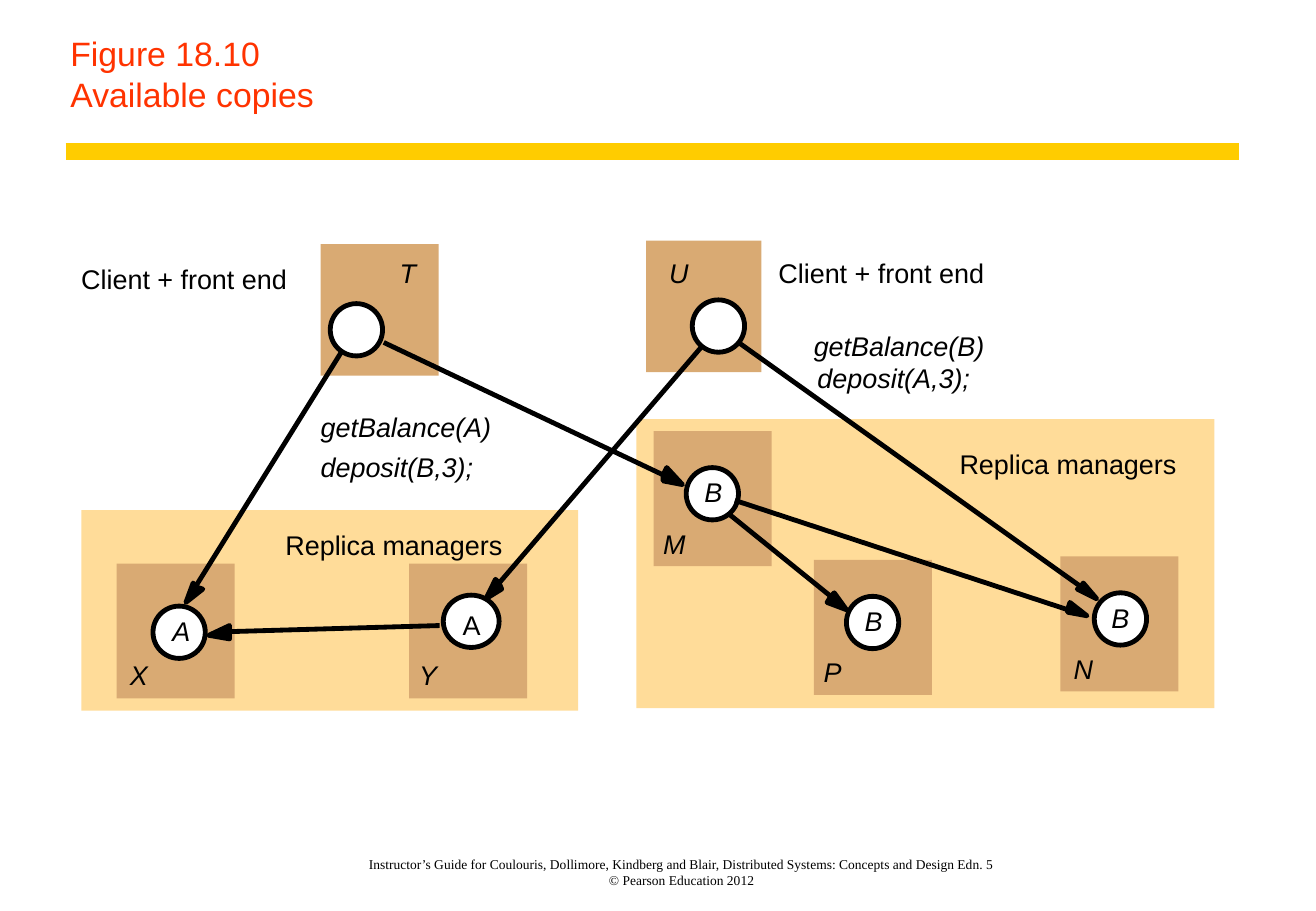
from lxml import etree
from pptx import Presentation
from pptx.dml.color import RGBColor
from pptx.enum import shapes, text
from pptx.oxml import ns
from pptx.util import Pt

COLORS = {
    "title": "FF3300",
    "rule": "FFCC00",
    "panel": "FFDC99",
    "site": "D9AA73",
    "object": "FFFFFF",
    "ink": "000000",
}
STROKE = 2.86
LABEL_HEIGHT = 19.4
SITE_WIDTH = 70
OBJECT_SIZE = 31

PANELS = [(377.3, 248.4, 342.7, 171.4), (48.2, 302.4, 294.5, 118.8)]

SITES = [
    ("X", (69.1, 334.1, SITE_WIDTH, 80), (90.7, 359.3, OBJECT_SIZE), (77, 390.2, 10.8)),
    ("Y", (242.6, 334.1, SITE_WIDTH, 80), (262.8, 352.8, 33.1), (248.4, 390.2, 10.8)),
    ("M", (387.4, 255.6, SITE_WIDTH, 80), (406.8, 277.2, OBJECT_SIZE), (393.1, 312.5, 13.7)),
    ("P", (482.4, 331.9, SITE_WIDTH, 80), (501.8, 353.5, OBJECT_SIZE), (488.2, 388.8, 10.8)),
    ("N", (628.6, 329.8, SITE_WIDTH, 80), (648.7, 351.4, OBJECT_SIZE), (636.5, 386.6, 11.5)),
    ("T", (190.1, 144.7, SITE_WIDTH, 78), (195.8, 180, OBJECT_SIZE), (236.9, 151.9, 10.1)),
    ("U", (383, 142.6, 68.4, 78), (410.4, 177.8, OBJECT_SIZE), (396.7, 151.9, 11.5)),
]

LABELS = [
    ("Client + front end", 48.2, 155.5, 122.4, False),
    ("Client + front end", 461.5, 151.9, 122.4, False),
    ("Replica managers", 568.8, 265, 128.9, False),
    ("Replica managers", 169.2, 313.2, 128.9, False),
    ("getBalance(A)", 190.1, 243.4, 101.5, True),
    ("deposit(B,3);", 190.1, 267.1, 90.7, True),
    ("getBalance(B)", 482.4, 195.1, 101.5, True),
    ("deposit(A,3);", 484.6, 214.6, 90.7, True),
    ("A", 102.2, 364.3, 10.8, True),
    ("A", 274.3, 360.7, 10.8, False),
    ("B", 417.6, 282.2, 10.8, True),
    ("B", 512.6, 358.6, 10.8, True),
    ("B", 658.8, 356.4, 10.8, True),
]

ARROWS = [
    ((202.3, 208.8), [(115.9, 347.8), (120.2, 349.2), (110.2, 357.1), (114.5, 345.6)]),
    ((227.5, 203), [(393.1, 281.5), (395.3, 277.2), (404.6, 287.3), (393.1, 285.1)]),
    ((416.2, 205.2), [(295.9, 345.6), (297.4, 349.2), (288, 355), (293.8, 343.4)]),
    ((437.8, 203), [(640.8, 347.8), (642.2, 345.6), (650.2, 355), (638.6, 349.2)]),
    ((435.6, 296.6), [(632.9, 361.4), (634.3, 357.1), (644.4, 365), (632.9, 362.9)]),
    ((432, 304.6), [(492.5, 353.5), (494.6, 351.4), (501.8, 361.4), (490.3, 357.1)]),
    ((260.6, 370.8), [(136.1, 374.4), (136.1, 378.7), (123.8, 376.6), (136.1, 370.8)]),
]


def color(key):
    """Return the named colour."""
    return RGBColor.from_string(COLORS[key])


def paint(shape, fill, stroke=None):
    """Give a shape a flat fill and an optional black outline."""
    shape.shadow.inherit = False
    shape.fill.solid()
    shape.fill.fore_color.rgb = color(fill)
    if stroke:
        shape.line.color.rgb = color("ink")
        shape.line.width = Pt(stroke)
    else:
        shape.line.fill.background()


def add_block(slide, kind, box, fill, stroke=None):
    """Add a filled preset shape."""
    block = slide.shapes.add_shape(kind, *map(Pt, box))
    paint(block, fill, stroke)


def add_line(slide, start, end, ink, width):
    """Add a straight line without shadow."""
    line = slide.shapes.add_connector(
        shapes.MSO_CONNECTOR.STRAIGHT, *map(Pt, (*start, *end)))
    line.line.color.rgb = color(ink)
    line.line.width = Pt(width)
    etree.SubElement(line._element.spPr, ns.qn("a:effectLst"))


def add_text(slide, words, box, size, font="Arial", ink="ink", italic=False,
             insets=(0, 0, 0, 0), wrap=True, align=text.PP_ALIGN.LEFT):
    """Add a text box; wrapped text sits at the bottom of its box."""
    frame = slide.shapes.add_textbox(*map(Pt, box)).text_frame
    frame.word_wrap = wrap
    frame.auto_size = (text.MSO_AUTO_SIZE.NONE if wrap
                       else text.MSO_AUTO_SIZE.SHAPE_TO_FIT_TEXT)
    frame.vertical_anchor = text.MSO_ANCHOR.BOTTOM if wrap else text.MSO_ANCHOR.TOP
    (frame.margin_left, frame.margin_top,
     frame.margin_right, frame.margin_bottom) = map(Pt, insets)
    paragraph = frame.paragraphs[0]
    paragraph.text = words
    paragraph.alignment = align
    paragraph.font.name = font
    paragraph.font.size = Pt(size)
    paragraph.font.italic = italic
    paragraph.font.color.rgb = color(ink)


def add_label(slide, words, left, top, width, italic):
    """Add a one-line diagram label."""
    add_text(slide, words, (left, top, width, LABEL_HEIGHT), 16,
             italic=italic, wrap=False)


def add_site(slide, name, box, data_object, name_place):
    """Add a named computer with the object it holds."""
    add_block(slide, shapes.MSO_SHAPE.RECTANGLE, box, "site")
    add_block(slide, shapes.MSO_SHAPE.OVAL, (*data_object, OBJECT_SIZE),
              "object", STROKE)
    add_label(slide, name, *name_place, True)


def add_arrow(slide, start, head):
    """Add a call arrow: a solid head and a line that ends at its first point."""
    neck, *rest = [tuple(map(Pt, point)) for point in head]
    builder = slide.shapes.build_freeform(*neck)
    builder.add_line_segments(rest, close=True)
    paint(builder.convert_to_shape(), "ink", STROKE)
    add_line(slide, start, head[0], "ink", STROKE)


def main():
    """Build the slide and save it."""
    deck = Presentation()
    deck.slide_width, deck.slide_height = Pt(780.13), Pt(540)
    slide = deck.slides.add_slide(deck.slide_layouts[6])

    add_text(slide, "Instructor’s Guide for Coulouris, Dollimore, Kindberg and Blair, "
             "Distributed Systems: Concepts and Design Edn. 5\n© Pearson Education 2012",
             (166.5, 498.2, 475.2, 28.1), 8, font="Times New Roman",
             align=text.PP_ALIGN.CENTER)
    add_line(slide, (38.9, 90), (734.4, 90), "rule", 10)
    add_text(slide, "Figure 18.10\nAvailable copies", (34.6, 0, 699.8, 72), 20,
             ink="title", insets=(7.2, 4.3, 10.1, 4.3))

    for panel in PANELS:
        add_block(slide, shapes.MSO_SHAPE.RECTANGLE, panel, "panel")
    for site in SITES:
        add_site(slide, *site)
    for label in LABELS:
        add_label(slide, *label)
    for arrow in ARROWS:
        add_arrow(slide, *arrow)

    deck.save("out.pptx")


if __name__ == "__main__":
    main()
